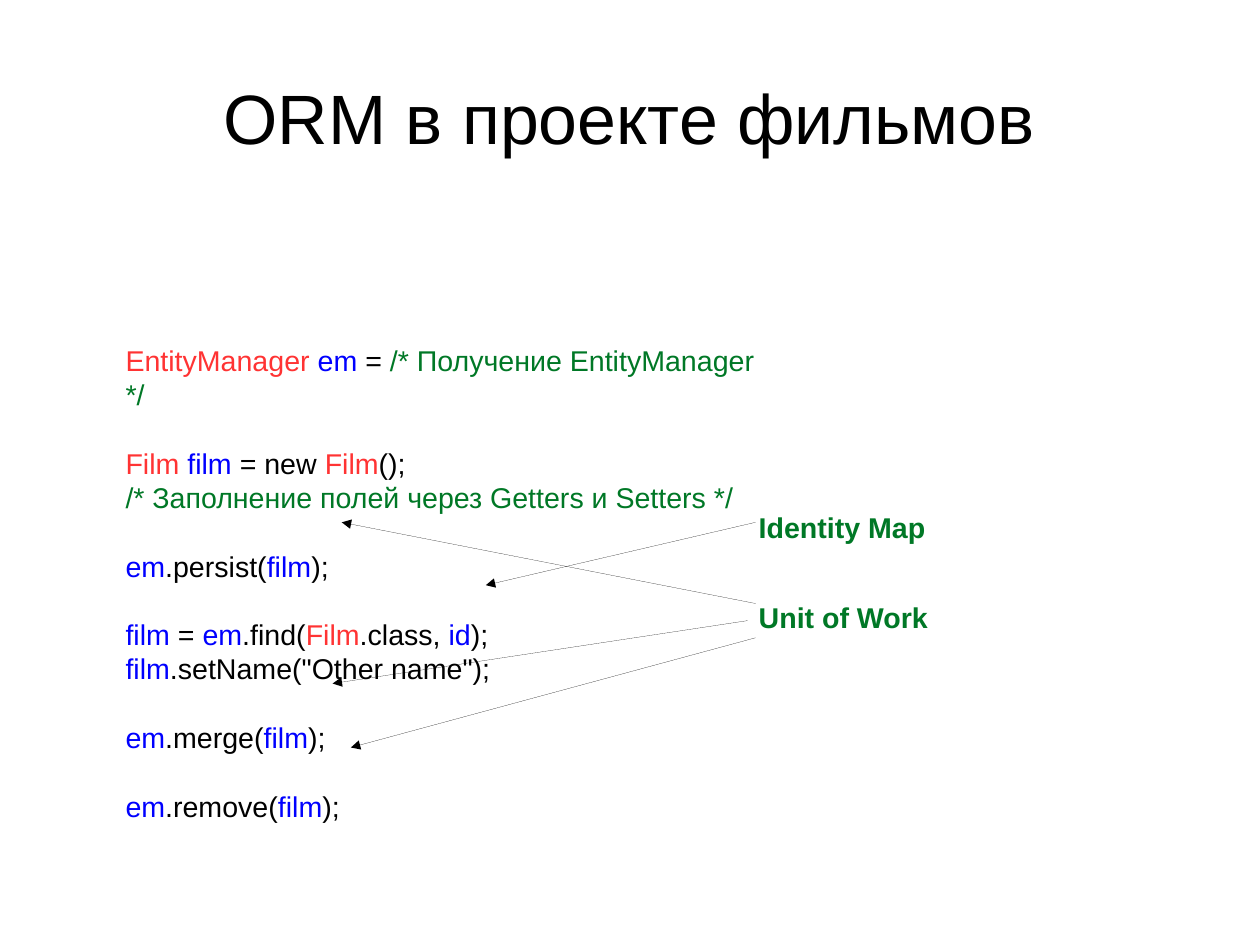
import pptx
import pptx.util
import pptx.dml.color
import pptx.enum.shapes
import pptx.enum.text
import pptx.oxml
import pptx.oxml.ns
from dataclasses import dataclass

Inches = pptx.util.Inches
Pt = pptx.util.Pt


@dataclass(frozen=True)
class Theme:
    font: str = "Arial"
    title_size: float = 44
    body_size: float = 18
    line_pitch: float = 21.6
    plain: str = "000000"
    type_name: str = "FF3333"
    variable: str = "0000FF"
    comment: str = "007826"


THEME = Theme()


def entity_call(method):
    return [("variable", "em"), ("plain", f".{method}("), ("variable", "film"), ("plain", ");")]


# Each block is a list of lines, each line a list of (colour role, text).
CODE_BLOCKS = [
    [[("type_name", "EntityManager "), ("variable", "em"), ("plain", " = "),
      ("comment", "/* Получение EntityManager */")]],
    [[("type_name", "Film "), ("variable", "film"), ("plain", " = new "),
      ("type_name", "Film"), ("plain", "();")],
     [("comment", "/* Заполнение полей через Getters и Setters */")]],
    [entity_call("persist")],
    [[("variable", "film"), ("plain", " = "), ("variable", "em"), ("plain", ".find("),
      ("type_name", "Film"), ("plain", ".class, "), ("variable", "id"), ("plain", ");")],
     [("variable", "film"), ("plain", '.setName("Other name");')]],
    [entity_call("merge")],
    [entity_call("remove")],
]

# Arrow ends are offsets from the top left corner of the label's box.
PATTERNS = [
    ("Unit of Work", (6.54, 5.2, 2.13, 0.38), [
        ((0.07, 0.08), (-3.55, -0.63)),
        ((0, 0.23), (-3.63, 0.78)),
        ((0.07, 0.38), (-3.47, 1.34)),
    ]),
    ("Identity Map", (6.54, 4.41, 2.13, 0.38), [
        ((0.07, 0.16), (-2.29, 0.71)),
    ]),
]


def set_attributes(target, **values):
    for name, value in values.items():
        setattr(target, name, value)


def add_run(paragraph, text, role, size, bold=False):
    run = paragraph.add_run()
    run.text = text
    set_attributes(run.font, name=THEME.font, size=Pt(size), bold=bold)
    run.font.color.rgb = pptx.dml.color.RGBColor.from_string(getattr(THEME, role))


def add_text_frame(slide, box):
    text_frame = slide.shapes.add_textbox(*map(Inches, box)).text_frame
    text_frame.word_wrap = True
    return text_frame


def add_title(slide, box, text):
    title = slide.shapes.title
    left, top, width, height = map(Inches, box)
    set_attributes(title, left=left, top=top, width=width, height=height)
    set_attributes(title.text_frame, margin_left=0, margin_top=0, margin_right=0,
                   margin_bottom=0, word_wrap=True,
                   vertical_anchor=pptx.enum.text.MSO_ANCHOR.MIDDLE)
    paragraph = title.text_frame.paragraphs[0]
    paragraph.alignment = pptx.enum.text.PP_ALIGN.CENTER
    add_run(paragraph, text, "plain", THEME.title_size)


def add_code(slide, box, blocks):
    """Separate the blocks by one line's height of paragraph spacing."""
    text_frame = add_text_frame(slide, box)
    for block_index, block in enumerate(blocks):
        for line_index, line in enumerate(block):
            first = block_index == line_index == 0
            paragraph = text_frame.paragraphs[0] if first else text_frame.add_paragraph()
            paragraph.line_spacing = Pt(THEME.line_pitch)
            if block_index and not line_index:
                paragraph.space_before = Pt(THEME.line_pitch)
            for role, text in line:
                add_run(paragraph, text, role, THEME.body_size)


def add_arrow(slide, start, end):
    """Draw a hairline; zero width must be written to the XML to take effect."""
    connector = slide.shapes.add_connector(
        pptx.enum.shapes.MSO_CONNECTOR.STRAIGHT, *map(Inches, start + end))
    connector.line.color.rgb = pptx.dml.color.RGBColor.from_string(THEME.plain)
    properties = connector._element.spPr
    line = properties.find(pptx.oxml.ns.qn("a:ln"))
    line.set("w", "0")
    namespace = pptx.oxml.ns.nsdecls("a")
    line.append(pptx.oxml.parse_xml(f'<a:tailEnd {namespace} type="triangle"/>'))
    properties.append(pptx.oxml.parse_xml(f"<a:effectLst {namespace}/>"))


def add_pattern(slide, box, name, arrows):
    """Place a pattern's name and its arrows to the code lines."""
    paragraph = add_text_frame(slide, box).paragraphs[0]
    add_run(paragraph, name, "comment", THEME.body_size, bold=True)
    left, top = box[:2]
    for ends in arrows:
        start, end = [(left + x, top + y) for x, y in ends]
        add_arrow(slide, start, end)


def main():
    presentation = pptx.Presentation()
    presentation.slide_width = pptx.util.Cm(28)
    presentation.slide_height = pptx.util.Cm(21)
    slide = presentation.slides.add_slide(presentation.slide_layouts.get_by_name("Title Only"))
    add_title(slide, (0.55, 0.33, 9.92, 1.38), "ORM в проекте фильмов")
    add_code(slide, (1, 2.95, 5.93, 4.02), CODE_BLOCKS)
    for name, box, arrows in PATTERNS:
        add_pattern(slide, box, name, arrows)
    presentation.save("out.pptx")


if __name__ == "__main__":
    main()
